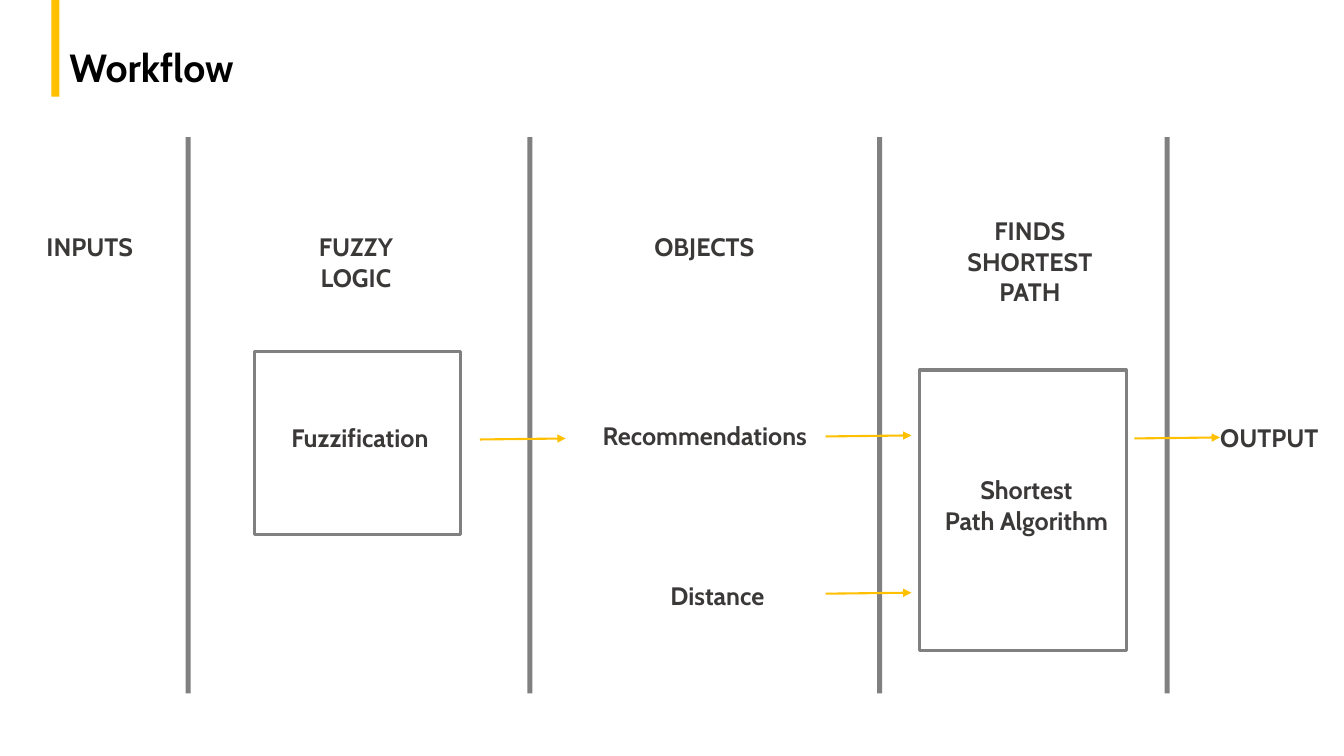
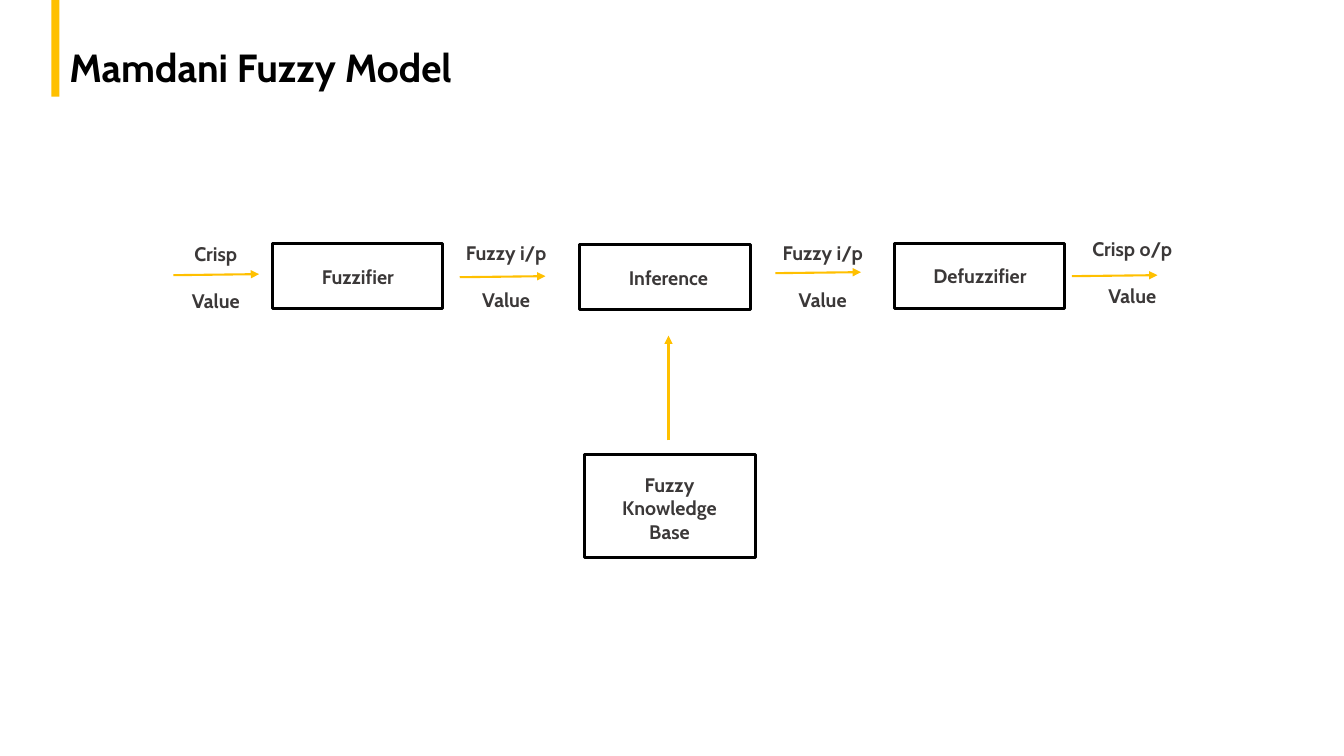
from pptx import Presentation
from pptx.dml.color import RGBColor
from pptx.enum.shapes import MSO_CONNECTOR, MSO_SHAPE
from pptx.enum.text import PP_ALIGN
from pptx.oxml.ns import qn
from pptx.util import Inches, Pt
from lxml import etree

RECTANGLE = MSO_SHAPE.RECTANGLE
STRAIGHT = MSO_CONNECTOR.STRAIGHT
LEFT, CENTER = PP_ALIGN.LEFT, PP_ALIGN.CENTER

FONT = "Cabin"
COLORS = {
    "accent": "FFC000",
    "title": "000000",
    "text": "3B3838",
    "gray": "808080",
    "black": "000000",
    "white": "FFFFFF",
}
ARROW_RUN, ARROW_RISE = 0.85, 0.01
BOX_LINE, ARROW_LINE = 2.25, 1.5

DIVIDER_LEFTS = (1.84, 5.23, 8.7, 11.55)
DIVIDER_TOP, DIVIDER_WIDTH, DIVIDER_HEIGHT = 1.36, 0.05, 5.52
WORKFLOW_BOX_WIDTH = 2.05
WORKFLOW_BOXES = [(2.52, 3.49, 1.81), (9.12, 3.67, 2.78)]
WORKFLOW_LABELS = [
    (["INPUTS"], 0.34, 2.25, 1.1, 0.4),
    (["FUZZY LOGIC"], 2.98, 2.25, 1.1, 0.71),
    (["OBJECTS"], 6.29, 2.25, 1.39, 0.4),
    (["FINDS", "SHORTEST PATH"], 9.43, 2.09, 1.57, 1.01),
    (["OUTPUT"], 11.96, 4.14, 1.26, 0.4),
    (["Recommendations"], 5.67, 4.12, 2.64, 0.4),
    (["Fuzzification"], 2.57, 4.14, 2, 0.4),
    (["Distance"], 6.28, 5.71, 1.67, 0.4),
    (["Shortest", "Path Algorithm"], 9.18, 4.66, 2, 0.71),
]
WORKFLOW_ARROWS = [(4.76, 4.36), (8.19, 4.33), (8.19, 5.89), (11.25, 4.35)]

MODEL_BOX_WIDTH, MODEL_LABEL_WIDTH = 1.69, 2.32
STAGE_HEIGHT, STAGE_LABEL_HEIGHT = 0.64, 0.34
STAGES = [
    ("Fuzzifier", (2.7, 2.42), (2.39, 2.58)),
    ("Inference", (5.75, 2.43), (5.47, 2.59)),
    ("Defuzzifier", (8.87, 2.42), (8.56, 2.57)),
]
KNOWLEDGE_BASE = ["Fuzzy", "Knowledge", "Base"]
VALUE_GAP = 17
FLOWS = [
    ("Crisp", (0.98, 2.35), (1.72, 2.73)),
    ("Fuzzy i/p", (3.86, 2.34), (4.56, 2.75)),
    ("Fuzzy i/p", (7, 2.34), (7.69, 2.71)),
    ("Crisp o/p", (10.07, 2.3), (10.63, 2.74)),
]


def color(name):
    return RGBColor.from_string(COLORS[name])


def add_rectangle(slide, left, top, width, height, fill=None, line=None):
    rectangle = slide.shapes.add_shape(
        RECTANGLE, Inches(left), Inches(top), Inches(width), Inches(height))
    rectangle.shadow.inherit = False
    if fill:
        rectangle.fill.solid()
        rectangle.fill.fore_color.rgb = color(fill)
    else:
        rectangle.fill.background()
    if line:
        rectangle.line.color.rgb = color(line)
        rectangle.line.width = Pt(BOX_LINE)
    else:
        rectangle.line.fill.background()


def add_label(slide, lines, left, top, width, height, size,
              ink="text", align=CENTER, gap=0):
    frame = slide.shapes.add_textbox(
        Inches(left), Inches(top), Inches(width), Inches(height)).text_frame
    frame.word_wrap = True
    for index, line in enumerate(lines):
        paragraph = frame.add_paragraph() if index else frame.paragraphs[0]
        paragraph.text = line
        paragraph.alignment = align
        paragraph.space_before = Pt(gap if index else 0)
        paragraph.font.name = FONT
        paragraph.font.size = Pt(size)
        paragraph.font.bold = True
        paragraph.font.color.rgb = color(ink)


def add_arrow(slide, left, top, run=ARROW_RUN, rise=ARROW_RISE):
    arrow = slide.shapes.add_connector(
        STRAIGHT, Inches(left), Inches(top),
        Inches(left + run), Inches(top - rise))
    arrow.line.color.rgb = color("accent")
    arrow.line.width = Pt(ARROW_LINE)
    outline = arrow.line._get_or_add_ln()
    etree.SubElement(outline, qn("a:tailEnd"), type="triangle")
    etree.SubElement(outline.getparent(), qn("a:effectLst"))


def add_titled_slide(deck, title):
    slide = deck.slides.add_slide(deck.slide_layouts[6])
    add_rectangle(slide, 0.51, 0, 0.08, 0.96, fill="accent")
    add_label(slide, [title], 0.59, 0.38, 6.17, 0.57, 28, "title", LEFT)
    return slide


def build_workflow(deck):
    slide = add_titled_slide(deck, "Workflow")
    for left in DIVIDER_LEFTS:
        add_rectangle(slide, left, DIVIDER_TOP, DIVIDER_WIDTH, DIVIDER_HEIGHT,
                      fill="gray")
    for left, top, height in WORKFLOW_BOXES:
        add_rectangle(slide, left, top, WORKFLOW_BOX_WIDTH, height,
                      fill="white", line="gray")
    for lines, *place in WORKFLOW_LABELS:
        add_label(slide, lines, *place, 18)
    for start in WORKFLOW_ARROWS:
        add_arrow(slide, *start)


def build_model(deck):
    slide = add_titled_slide(deck, "Mamdani Fuzzy Model")
    for stage, box, label in STAGES:
        add_rectangle(slide, *box, MODEL_BOX_WIDTH, STAGE_HEIGHT, line="black")
        add_label(slide, [stage], *label, MODEL_LABEL_WIDTH,
                  STAGE_LABEL_HEIGHT, 14)
    add_rectangle(slide, 5.8, 4.51, MODEL_BOX_WIDTH, 1.02, line="black")
    add_label(slide, KNOWLEDGE_BASE, 5.48, 4.64, MODEL_LABEL_WIDTH, 0.81, 14)
    add_arrow(slide, 6.63, 4.37, run=0, rise=1.04)
    for flow, label, start in FLOWS:
        add_arrow(slide, *start)
        add_label(slide, [flow, "Value"], *label, MODEL_LABEL_WIDTH, 0.81, 14,
                  gap=VALUE_GAP)


def main():
    deck = Presentation()
    deck.slide_width, deck.slide_height = Inches(13.33), Inches(7.5)
    build_workflow(deck)
    build_model(deck)
    deck.save("out.pptx")


if __name__ == "__main__":
    main()
